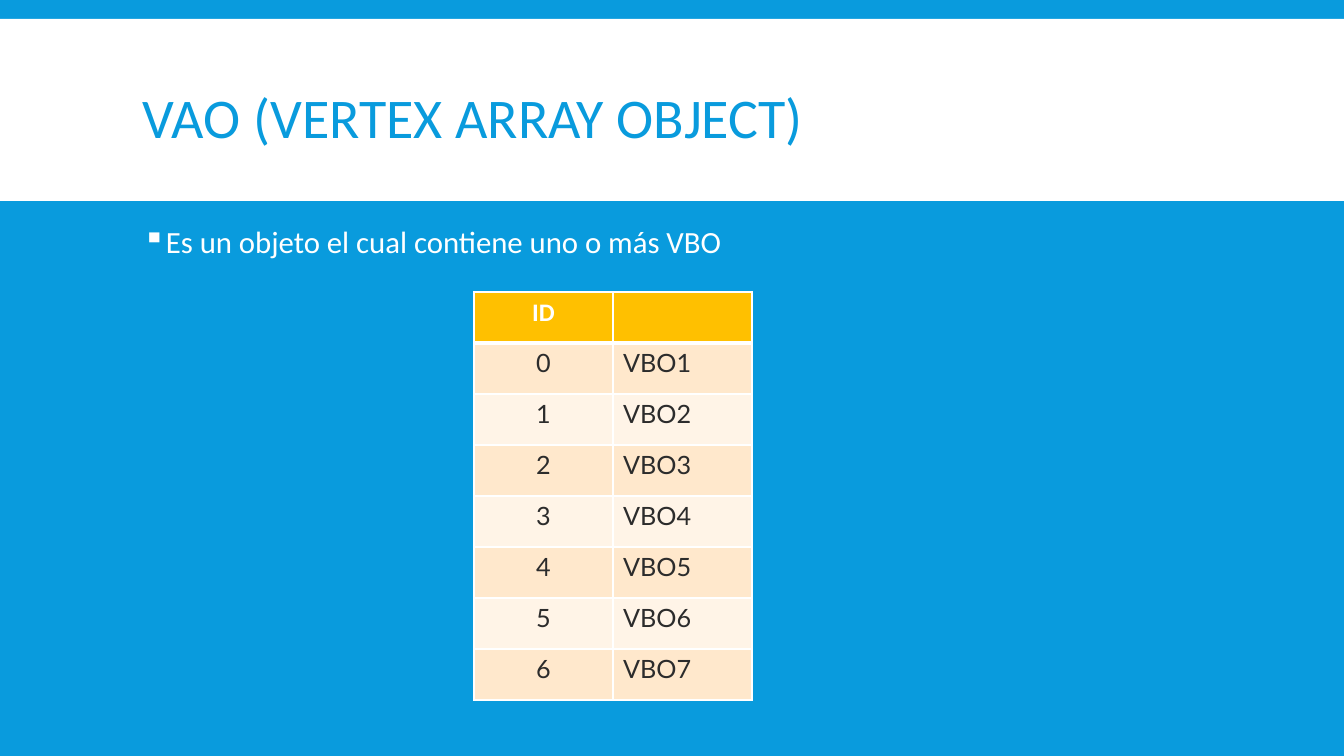
from dataclasses import dataclass

from lxml.etree import SubElement
from pptx import Presentation
from pptx.dml.color import RGBColor
from pptx.enum.shapes import MSO_SHAPE
from pptx.enum.text import MSO_ANCHOR, PP_ALIGN
from pptx.oxml.ns import qn
from pptx.slide import Slide
from pptx.table import _Cell
from pptx.util import Emu, Pt

EMU_PER_PX = 914400 / 100.8
BLUE = "099BDD"
WHITE = "FFFFFF"
AMBER = "FFC000"
INK = "2C2C2C"
BANDS = ("FFE8CC", "FFF4E7")
VBO_COUNT = 7
COLUMN_WIDTH = 139
ROW_HEIGHT = 51


@dataclass(frozen=True)
class TextStyle:
    font: str
    size: int
    color: str
    bold: bool = False


@dataclass(frozen=True)
class TextBlock:
    text: str
    left: int
    top: int
    width: int
    height: int
    style: TextStyle
    anchor: MSO_ANCHOR
    line_spacing: float
    space_before: int = 0
    space_after: int = 0
    bullet: str = ""


HEADER_STYLE = TextStyle("Calibri", 18, WHITE, True)
ENTRY_STYLE = TextStyle("Lato", 18, INK)
BLOCKS = (
    TextBlock("VAO (VERTEX ARRAY OBJECT)", 133, 31, 1079, 181,
              TextStyle("Calibri", 40, BLUE), MSO_ANCHOR.MIDDLE, 0.85),
    TextBlock("Es un objeto el cual contiene uno o más VBO", 133, 222, 1079, 60,
              TextStyle("Calibri", 22, WHITE), MSO_ANCHOR.TOP, 0.9, 12, 2, "▪"),
)


def px(length: int) -> Emu:
    return Emu(round(length * EMU_PER_PX))


def rgb(color: str) -> RGBColor:
    return RGBColor.from_string(color)


def add_span(para, text: str, style: TextStyle) -> None:
    span = para.add_run()
    span.text = text
    span.font.name = style.font
    span.font.size = Pt(style.size)
    span.font.bold = style.bold
    span.font.color.rgb = rgb(style.color)


def add_bullet(para, symbol: str, color: str) -> None:
    properties = para._p.get_or_add_pPr()
    properties.set("marL", str(px(20)))
    properties.set("indent", str(-px(20)))
    bullet_color = SubElement(properties, qn("a:buClr"))
    SubElement(bullet_color, qn("a:srgbClr"), val=color)
    SubElement(properties, qn("a:buChar"), char=symbol)


def add_block(page: Slide, block: TextBlock) -> None:
    box = page.shapes.add_textbox(
        px(block.left), px(block.top), px(block.width), px(block.height))
    frame = box.text_frame
    frame.word_wrap = True
    frame.vertical_anchor = block.anchor
    para = frame.paragraphs[0]
    para.line_spacing = block.line_spacing
    para.space_before = Pt(block.space_before)
    para.space_after = Pt(block.space_after)
    if block.bullet:
        add_bullet(para, block.bullet, block.style.color)
    add_span(para, block.text, block.style)


def add_band(page: Slide) -> None:
    band = page.shapes.add_shape(
        MSO_SHAPE.RECTANGLE, px(0), px(19), px(1344), px(182))
    band.shadow.inherit = False
    band.fill.solid()
    band.fill.fore_color.rgb = rgb(WHITE)
    band.line.fill.background()


def set_borders(cell: _Cell, top: int, bottom: int) -> None:
    properties = cell._tc.get_or_add_tcPr()
    for side, width in (("L", 1), ("R", 1), ("T", top), ("B", bottom)):
        line = SubElement(properties, qn(f"a:ln{side}"), w=str(Pt(width)))
        fill = SubElement(line, qn("a:solidFill"))
        SubElement(fill, qn("a:srgbClr"), val=WHITE)


def add_vbo_table(page: Slide) -> None:
    entries = [("ID", "")] + [(str(i), f"VBO{i + 1}") for i in range(VBO_COUNT)]
    table = page.shapes.add_table(
        len(entries), 2, px(474), px(292),
        px(2 * COLUMN_WIDTH), px(len(entries) * ROW_HEIGHT)).table
    for column in table.columns:
        column.width = px(COLUMN_WIDTH)
    for row_index, entry in enumerate(entries):
        table.rows[row_index].height = px(ROW_HEIGHT)
        is_header = row_index == 0
        style = HEADER_STYLE if is_header else ENTRY_STYLE
        color = AMBER if is_header else BANDS[(row_index - 1) % 2]
        for column_index, text in enumerate(entry):
            cell = table.cell(row_index, column_index)
            set_borders(cell, 3 if row_index == 1 else 1, 3 if is_header else 1)
            cell.fill.solid()
            cell.fill.fore_color.rgb = rgb(color)
            para = cell.text_frame.paragraphs[0]
            para.alignment = PP_ALIGN.CENTER if column_index == 0 else PP_ALIGN.LEFT
            if text:
                add_span(para, text, style)


def main() -> None:
    deck = Presentation()
    deck.slide_width = px(1344)
    deck.slide_height = px(756)
    page = deck.slides.add_slide(deck.slide_layouts[6])
    page.background.fill.solid()
    page.background.fill.fore_color.rgb = rgb(BLUE)
    add_band(page)
    for block in BLOCKS:
        add_block(page, block)
    add_vbo_table(page)
    deck.save("out.pptx")


if __name__ == "__main__":
    main()
